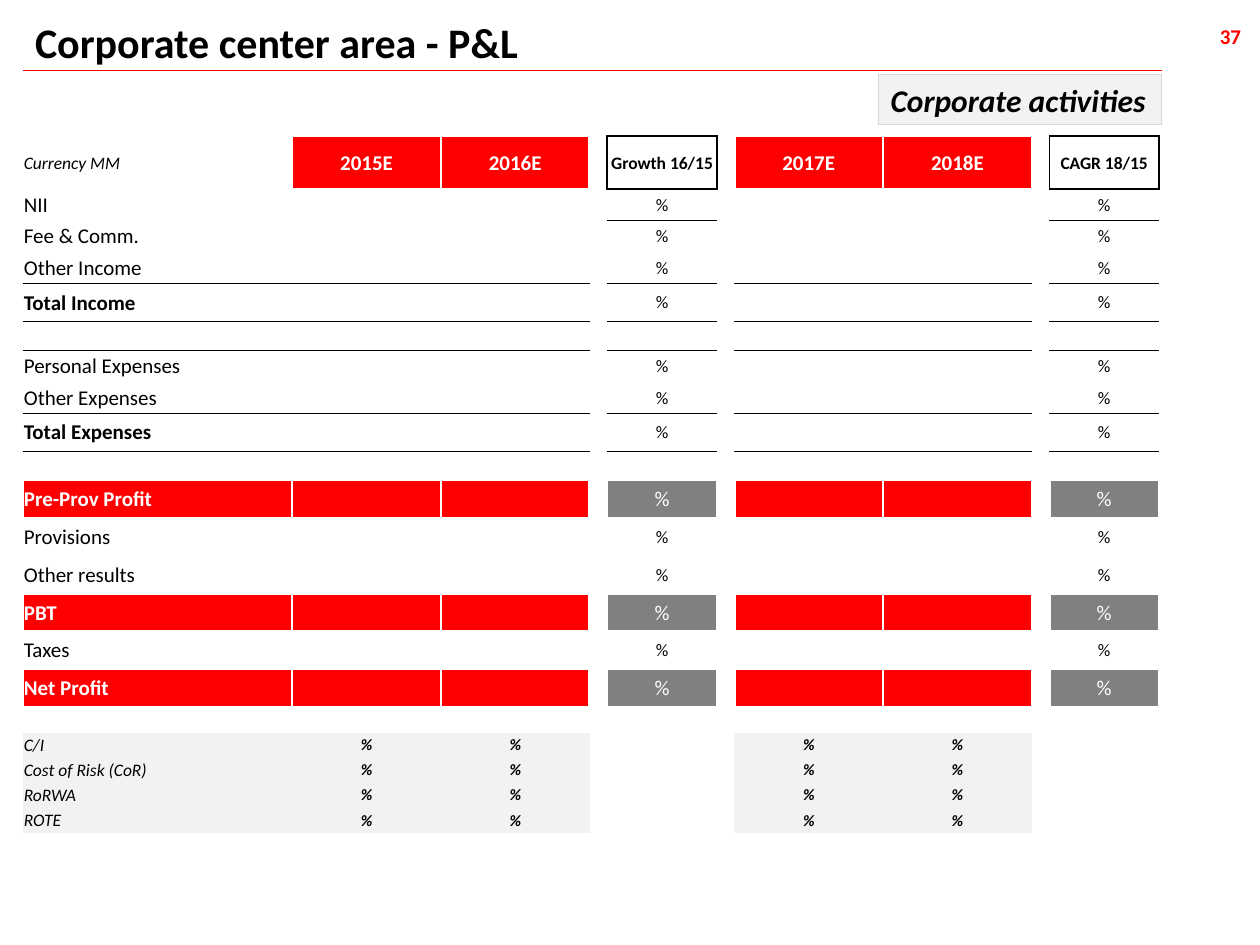
from collections import defaultdict

from lxml.etree import SubElement
from pptx import Presentation
from pptx.dml.color import RGBColor
from pptx.enum.shapes import MSO_CONNECTOR as Connector, MSO_SHAPE as Shape
from pptx.enum.text import MSO_ANCHOR as Anchor, PP_ALIGN as Align
from pptx.oxml import parse_xml
from pptx.oxml.ns import nsdecls, qn
from pptx.util import Inches, Pt

FONT = "Calibri"
BLACK, WHITE, RED = "000000", "FFFFFF", "FF0000"
GREY, PALE, EDGE = "808080", "F2F2F2", "D9D9D9"
UNIT = 0.1  # the slide is a grid of 100 columns by 75 rows
NO_STYLE = "{2D5ABB26-0587-4C30-8999-92F81FD0307C}"

# Table columns and their roles
COLUMN_WIDTHS = [21.4, 11.8, 11.8, 1.4, 8.7, 1.4, 11.8, 11.8, 1.4, 8.7]
LABEL, YEARS, RATES = 0, (1, 2, 6, 7), (4, 9)
FILLED = (LABEL, *YEARS, *RATES)
HEADINGS = {0: "Currency MM", 1: "2015E", 2: "2016E", 4: "Growth 16/15",
            6: "2017E", 7: "2018E", 9: "CAGR 18/15"}

# Row kind, height and label
ROWS = [
    ("header", 4.2, ""),
    ("item", 2.5, "NII"), ("item", 2.5, "Fee & Comm."), ("item", 2.5, "Other Income"),
    ("total", 3, "Total Income"), ("space", 2.3, ""),
    ("item", 2.5, "Personal Expenses"), ("item", 2.5, "Other Expenses"),
    ("total", 3, "Total Expenses"), ("space", 2.3, ""),
    ("result", 3, "Pre-Prov Profit"),
    ("item", 3, "Provisions"), ("item", 3, "Other results"),
    ("result", 3, "PBT"), ("item", 3, "Taxes"), ("result", 3, "Net Profit"),
    ("space", 2, ""),
    ("ratio", 2, "C/I"), ("ratio", 2, "Cost of Risk (CoR)"),
    ("ratio", 2, "RoRWA"), ("ratio", 2, "ROTE"),
]

# Fonts of the label and of the percentages, by row kind
LABEL_FONTS = {
    "item": dict(size=12),
    "total": dict(size=12, bold=True),
    "result": dict(size=12, bold=True, color=WHITE),
    "ratio": dict(size=10, italic=True),
}
RATE_FONTS = {"item": dict(size=10), "total": dict(size=10),
              "result": dict(size=12, color=WHITE)}
RATIO_FONT = dict(size=9, bold=True, italic=True)

# Border side: tag, opposite side, step to the neighbouring cell
SIDES = {"l": ("a:lnL", "r", 0, -1), "r": ("a:lnR", "l", 0, 1),
         "t": ("a:lnT", "b", -1, 0), "b": ("a:lnB", "t", 1, 0)}


def rgb(color):
    return RGBColor.from_string(color)


def grid(*units):
    return [Inches(unit * UNIT) for unit in units]


def write(paragraph, text, size, color=BLACK, bold=False, italic=False, align=Align.LEFT):
    paragraph.alignment = align
    run = paragraph.add_run()
    run.text = text
    values = dict(name=FONT, size=Pt(size), bold=bold, italic=italic)
    for name, value in values.items():
        setattr(run.font, name, value)
    run.font.color.rgb = rgb(color)


def add_text(slide, box, text, wrap=True, **font):
    frame = slide.shapes.add_textbox(*grid(*box)).text_frame
    frame.word_wrap = wrap
    write(frame.paragraphs[0], text, **font)
    return frame


def add_heading(slide, box):
    left, top, width, height = box
    add_text(slide, (left, top, 95.7, 5), "Corporate center area - P&L", size=24, bold=True)

    # Rule under the title
    bottom = top + height
    rule = slide.shapes.add_connector(
        Connector.STRAIGHT, *grid(left, bottom, left + width, bottom))
    rule.line.color.rgb = rgb(RED)
    rule.line.width = Pt(0.75)
    SubElement(rule.element.spPr, qn("a:effectLst"))


def add_page_number(slide, box):
    frame = add_text(slide, box, "37", wrap=False, size=12, color=RED, bold=True,
                     align=Align.RIGHT)
    frame.margin_left = frame.margin_right = Inches(0.06)


def add_tag(slide, box):
    tag = slide.shapes.add_shape(Shape.RECTANGLE, *grid(*box))
    tag.shadow.inherit = False
    tag.fill.solid()
    tag.fill.fore_color.rgb = rgb(PALE)
    tag.line.color.rgb = rgb(EDGE)
    tag.line.width = Pt(0.75)
    tag.text_frame.word_wrap = False
    write(tag.text_frame.paragraphs[0], "Corporate activities", size=18, bold=True, italic=True)


def cell_content(kind, label, column):
    """Text and font of a cell, or None when it is empty."""
    if kind == "header" and column in HEADINGS:
        if column == LABEL:
            return HEADINGS[column], dict(size=10, italic=True)
        font = dict(size=12, color=WHITE) if column in YEARS else dict(size=10)
        return HEADINGS[column], dict(font, bold=True, align=Align.CENTER)
    if column == LABEL and label:
        return label, LABEL_FONTS[kind]
    if column in RATES and kind in RATE_FONTS:
        return "%", dict(RATE_FONTS[kind], align=Align.CENTER)
    if column in YEARS and kind == "ratio":
        return "%", dict(RATIO_FONT, align=Align.CENTER)
    return None


def cell_fill(kind, column):
    if kind == "result" and column in RATES:
        return GREY
    if column in YEARS or column == LABEL and kind != "header":
        return {"header": RED, "result": RED, "ratio": PALE}.get(kind)
    return None


def cell_border(kind, column):
    """Sides, colour and width of a cell's border."""
    if kind == "header" and column in RATES:
        return "lrtb", BLACK, 1
    if kind == "header" and column in YEARS or kind == "result" and column in FILLED:
        return "lrtb", WHITE, 1.5
    if kind == "total" and column in FILLED:
        return "tb", BLACK, 0.5
    return "", BLACK, 0


def collect_borders():
    """Every border, given to both of the cells that share it."""
    borders = defaultdict(dict)
    for row, (kind, _, _) in enumerate(ROWS):
        for column in range(len(COLUMN_WIDTHS)):
            sides, color, width = cell_border(kind, column)
            for side in sides:
                _, opposite, down, across = SIDES[side]
                borders[row, column][side] = color, width
                borders[row + down, column + across][opposite] = color, width
    return borders


def draw_borders(cell, edges):
    properties = cell._tc.get_or_add_tcPr()
    present = [side for side in SIDES if side in edges]
    for position, side in enumerate(present):
        color, width = edges[side]
        tag = SIDES[side][0]
        properties.insert(position, parse_xml(
            f'<{tag} {nsdecls("a")} w="{Pt(width)}"><a:solidFill>'
            f'<a:srgbClr val="{color}"/></a:solidFill></{tag}>'))


def format_cell(cell, kind, label, column, edges):
    margins = dict(margin_left=0.01, margin_right=0.01, margin_top=0.01, margin_bottom=0)
    for name, value in margins.items():
        setattr(cell, name, Inches(value))
    cell.vertical_anchor = Anchor.MIDDLE
    fill = cell_fill(kind, column)
    if fill:
        cell.fill.solid()
        cell.fill.fore_color.rgb = rgb(fill)
    else:
        cell.fill.background()
    paragraph = cell.text_frame.paragraphs[0]
    content = cell_content(kind, label, column)
    if content:
        write(paragraph, content[0], **content[1])
    else:  # a small font keeps empty cells from stretching the row
        SubElement(paragraph._p, qn("a:endParaRPr"), sz="800")
    draw_borders(cell, edges)


def add_results_table(slide, box):
    frame = slide.shapes.add_table(len(ROWS), len(COLUMN_WIDTHS), *grid(*box))
    table = frame.table
    table.first_row = table.horz_banding = False
    table._tbl.tblPr.find(qn("a:tableStyleId")).text = NO_STYLE
    for column, width in zip(table.columns, grid(*COLUMN_WIDTHS)):
        column.width = width
    borders = collect_borders()
    for row, (kind, height, label) in enumerate(ROWS):
        table.rows[row].height = grid(height)[0]
        for column in range(len(COLUMN_WIDTHS)):
            format_cell(table.cell(row, column), kind, label, column, borders[row, column])


def main():
    presentation = Presentation()
    presentation.slide_width, presentation.slide_height = grid(100, 75)
    slide = presentation.slides.add_slide(presentation.slide_layouts[6])
    add_page_number(slide, (94.9, 1.4, 4.2, 3.1))
    add_heading(slide, (1.8, 0.8, 90.4, 4.8))
    add_tag(slide, (69.7, 5.9, 22.5, 4))
    add_results_table(slide, (1.8, 10.8, 90.4, 55.2))
    presentation.save("out.pptx")


if __name__ == "__main__":
    main()
